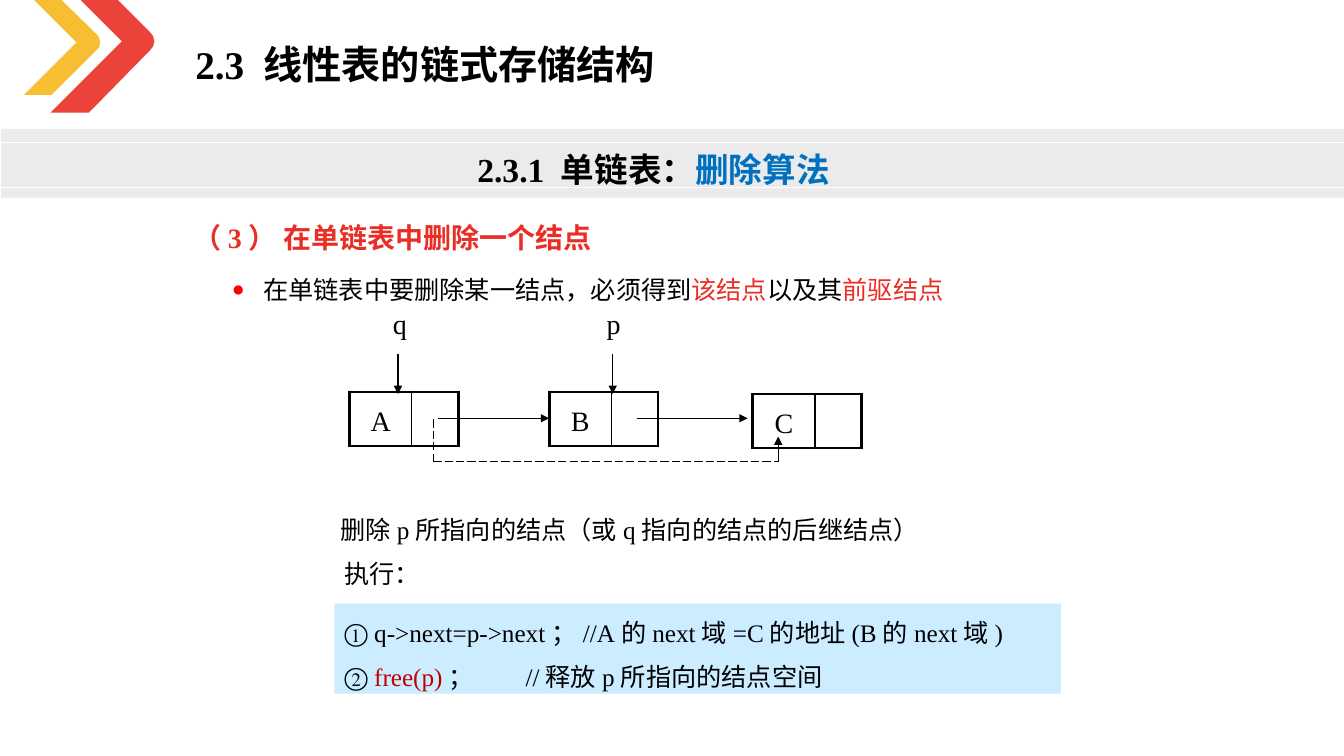
from dataclasses import dataclass

from lxml.etree import SubElement
from pptx import Presentation
from pptx.dml.color import RGBColor
from pptx.enum.dml import MSO_LINE
from pptx.enum.shapes import MSO_CONNECTOR, MSO_SHAPE
from pptx.enum.text import MSO_ANCHOR, MSO_AUTO_SIZE, PP_ALIGN
from pptx.oxml.ns import qn
from pptx.util import Cm, Pt


@dataclass(frozen=True)
class Theme:
    """Colours, type sizes and font of the slide."""
    font: str = "Times New Roman"
    black: str = "000000"
    white: str = "FFFFFF"
    red: str = "E92E25"
    yellow: str = "F7B61D"
    blue: str = "0070C0"
    code_red: str = "C00000"
    bullet_red: str = "FF0000"
    code_fill: str = "CCECFF"
    band: str = "404040"
    title: int = 28
    subtitle: int = 24
    heading: int = 20
    body: int = 18


THEME = Theme()
RED_CHEVRON = [(2.03, 0), (2.97, 0), (3.78, 0.81), (3.86, 0.91), (3.89, 1.04),
               (3.86, 1.17), (3.78, 1.27), (2.24, 2.84), (1.27, 2.84), (3.07, 1.04)]
YELLOW_CHEVRON = [(0.86, 0), (1.55, 0), (2.46, 0.89), (2.51, 0.97), (2.52, 1.07),
                  (2.51, 1.17), (2.46, 1.24), (1.3, 2.39), (0.61, 2.39), (1.93, 1.07)]


def rgb(colour):
    """Turn a hex string into a colour."""
    return RGBColor.from_string(colour)


def paint(shape, colour, opacity):
    """Give a shape a translucent fill without line or shadow."""
    shape.shadow.inherit = False
    shape.line.fill.background()
    shape.fill.solid()
    shape.fill.fore_color.rgb = rgb(colour)
    clr = shape.fill._xPr.find(qn("a:solidFill"))[0]
    SubElement(clr, qn("a:alpha")).set("val", str(opacity * 1000))


def add_chevron(slide, points, colour):
    """Draw a corner chevron from points in centimetres."""
    corners = [(Cm(x), Cm(y)) for x, y in points]
    builder = slide.shapes.build_freeform(*corners[0])
    builder.add_line_segments(corners[1:])
    paint(builder.convert_to_shape(), colour, 90)


def add_line(slide, start, end, colour=THEME.black, width=0.75, dashed=False, arrow=False):
    """Draw a straight line, optionally dashed or with an arrowhead."""
    line = slide.shapes.add_connector(MSO_CONNECTOR.STRAIGHT, *map(Cm, start + end))
    line.line.color.rgb = rgb(colour)
    line.line.width = Pt(width)
    if dashed:
        line.line.dash_style = MSO_LINE.LONG_DASH
    if arrow:
        SubElement(line.line._get_or_add_ln(), qn("a:tailEnd")).set("type", "triangle")
    SubElement(line._element.spPr, qn("a:effectLst"))


def write(frame, runs, size, bold=False, align=PP_ALIGN.LEFT):
    """Write one paragraph of (text, colour) runs."""
    paragraph = frame.paragraphs[0]
    paragraph.alignment = align
    paragraph.line_spacing = 1.3
    paragraph.space_before = Pt(0)
    paragraph.font.name = THEME.font
    paragraph.font.size = Pt(size)
    paragraph.font.bold = bold
    colours = {colour for _, colour in runs}
    if len(colours) == 1:
        paragraph.font.color.rgb = rgb(colours.pop())
    for text, colour in runs:
        run = paragraph.add_run()
        run.text = text
        if len(runs) > 1:
            run.font.color.rgb = rgb(colour)


def setup_frame(shape, box):
    """Place a text shape and set its wrapping and anchor."""
    shape.left, shape.top, shape.width, shape.height = map(Cm, box)
    frame = shape.text_frame
    frame.word_wrap = True
    frame.auto_size = MSO_AUTO_SIZE.SHAPE_TO_FIT_TEXT
    frame.vertical_anchor = MSO_ANCHOR.TOP
    return frame


def add_text(slide, box, runs, size, fill=None, tab=None, **style):
    """Add a text box, optionally filled and with a tab stop."""
    shape = slide.shapes.add_textbox(*map(Cm, box))
    frame = setup_frame(shape, box)
    if fill:
        shape.fill.solid()
        shape.fill.fore_color.rgb = rgb(fill)
    if tab:
        tabs = SubElement(frame.paragraphs[0]._p.get_or_add_pPr(), qn("a:tabLst"))
        stop = SubElement(tabs, qn("a:tab"))
        stop.set("pos", str(Cm(tab)))
        stop.set("algn", "l")
    write(frame, runs, size, **style)


def add_bullet(paragraph):
    """Give a paragraph a hanging red dot."""
    properties = paragraph._p.get_or_add_pPr()
    properties.set("marL", str(Cm(0.79)))
    properties.set("indent", str(-Cm(0.79)))
    colour = SubElement(properties, qn("a:buClr"))
    SubElement(colour, qn("a:srgbClr")).set("val", THEME.bullet_red)
    SubElement(properties, qn("a:buSzPct")).set("val", "85000")
    SubElement(properties, qn("a:buFont")).set("typeface", THEME.font)
    SubElement(properties, qn("a:buChar")).set("char", "●")


def border_cell(cell, thin_side):
    """Outline a cell thickly except on the side it shares."""
    properties = cell._tc.get_or_add_tcPr()
    for side in "LRTB":
        line = SubElement(properties, qn(f"a:ln{side}"))
        line.set("w", str(Pt(1 if side == thin_side else 2.25)))
        fill = SubElement(line, qn("a:solidFill"))
        SubElement(fill, qn("a:srgbClr")).set("val", THEME.black)
    cell.fill.background()


def add_node(slide, label, left, top):
    """Draw a list node with a data cell and a pointer cell."""
    widths = Cm(1.57), Cm(1.17)
    table = slide.shapes.add_table(1, 2, Cm(left), Cm(top), sum(widths), Cm(1.23)).table
    table.first_row = table.horz_banding = False
    for column, width in zip(table.columns, widths):
        column.width = width
    data, pointer = table.rows[0].cells
    border_cell(data, "R")
    border_cell(pointer, "L")
    write(data.text_frame, [(label, THEME.black)], THEME.heading, align=PP_ALIGN.CENTER)


def add_header(slide):
    """Draw the chevrons, title and subtitle band."""
    band = slide.shapes.add_shape(MSO_SHAPE.RECTANGLE, Cm(0.03), Cm(3.25), Cm(33.87), Cm(1.73))
    paint(band, THEME.band, 10)
    for y in (3.58, 4.72):
        add_line(slide, (0.03, y), (33.9, y), THEME.white, 0.5)
    add_chevron(slide, RED_CHEVRON, THEME.red)
    add_chevron(slide, YELLOW_CHEVRON, THEME.yellow)
    title = setup_frame(slide.shapes.title, (4.67, 0.53, 17.12, 1.65))
    write(title, [("2.3 线性表的链式存储结构", THEME.black)], THEME.title, bold=True)
    add_text(slide, (1.42, 3.33, 30.1, 1.45),
             [("2.3.1 单链表：", THEME.black), ("删除算法", THEME.blue)],
             THEME.subtitle, bold=True, align=PP_ALIGN.CENTER)


def add_diagram(slide):
    """Draw the linked list with its pointers and bypass."""
    for label, left, top in (("A", 8.81, 9.88), ("B", 13.84, 9.88), ("C", 18.97, 9.93)):
        add_node(slide, label, left, top)
    for name, left, x in (("q", 9.65, 10.03), ("p", 15.04, 15.44)):
        add_text(slide, (left, 7.34, 0.99, 1.24), [(name, THEME.black)], THEME.heading)
        add_line(slide, (x, 8.92), (x, 9.93), arrow=True)
    for x in (11.05, 16.05):
        add_line(slide, (x, 10.54), (x + 2.79, 10.54), arrow=True)
    add_line(slide, (10.92, 11.63), (19.61, 11.63), dashed=True)
    add_line(slide, (10.92, 10.57), (10.92, 11.63), dashed=True)
    add_line(slide, (19.61, 11.63), (19.61, 11), arrow=True)


def add_explanation(slide):
    """Write the heading, the bullet and the deletion steps."""
    black, red = THEME.black, THEME.red
    add_text(slide, (4.62, 5.18, 20.8, 1.27), [("（3） 在单链表中删除一个结点", red)],
             THEME.heading, bold=True)
    body = setup_frame(slide.placeholders[1], (5.59, 6.55, 18.67, 1.17))
    add_bullet(body.paragraphs[0])
    write(body, [("在单链表中要删除某一结点，必须得到", black), ("该结点", red),
                 ("以及其", black), ("前驱结点", red)], THEME.body)
    add_text(slide, (8.33, 12.62, 18.42, 1.17),
             [("删除p所指向的结点（或q指向的结点的后继结点）", black)], THEME.body)
    add_text(slide, (8.43, 13.72, 16.97, 1.17), [("执行：", black)], THEME.body)
    add_text(slide, (8.43, 15.21, 18.31, 1.17),
             [("① q->next=p->next；//A的next域=C的地址(B的next域)", black)],
             THEME.body, fill=THEME.code_fill)
    add_text(slide, (8.43, 16.31, 18.31, 1.17),
             [("② ", black), ("free(p)", THEME.code_red), ("；\t//释放p所指向的结点空间", black)],
             THEME.body, fill=THEME.code_fill, tab=4.57)


def main():
    """Build and save the slide."""
    presentation = Presentation()
    presentation.slide_width, presentation.slide_height = Cm(33.87), Cm(19.05)
    slide = presentation.slides.add_slide(presentation.slide_layouts[1])
    add_header(slide)
    add_diagram(slide)
    add_explanation(slide)
    presentation.save("out.pptx")


if __name__ == "__main__":
    main()
